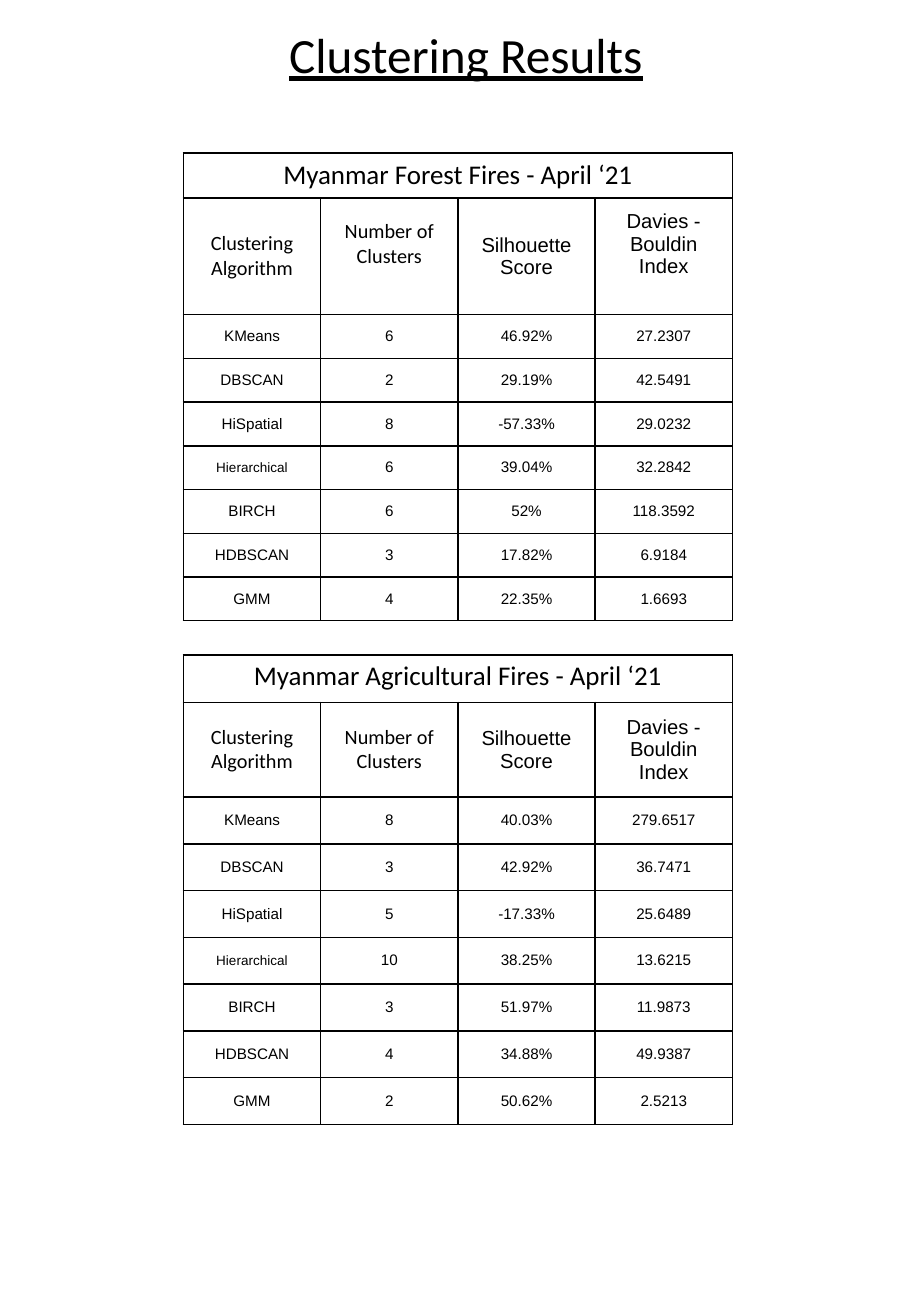
"""Build the Clustering Results slide with two tables of scores."""
from lxml.etree import SubElement
from pptx import Presentation
from pptx.dml.color import RGBColor
from pptx.enum.text import MSO_ANCHOR, MSO_AUTO_SIZE, PP_ALIGN
from pptx.oxml.ns import qn
from pptx.util import Inches, Pt

BLACK = RGBColor(0, 0, 0)
HEADERS = ["Clustering Algorithm", "Number of Clusters", "Silhouette Score", "Davies - Bouldin Index"]
ALGORITHMS = ["KMeans", "DBSCAN", "HiSpatial", "Hierarchical", "BIRCH", "HDBSCAN", "GMM"]
FOREST_SCORES = [
    ("6", "46.92%", "27.2307"),
    ("2", "29.19%", "42.5491"),
    ("8", "-57.33%", "29.0232"),
    ("6", "39.04%", "32.2842"),
    ("6", "52%", "118.3592"),
    ("3", "17.82%", "6.9184"),
    ("4", "22.35%", "1.6693"),
]
FARM_SCORES = [
    ("8", "40.03%", "279.6517"),
    ("3", "42.92%", "36.7471"),
    ("5", "-17.33%", "25.6489"),
    ("10", "38.25%", "13.6215"),
    ("3", "51.97%", "11.9873"),
    ("4", "34.88%", "49.9387"),
    ("2", "50.62%", "2.5213"),
]
TABLES = [
    ("Myanmar Forest Fires - April ‘21", FOREST_SCORES, 1.26, 0.37, 0.96, 0.36, MSO_ANCHOR.MIDDLE, 0.25),
    ("Myanmar Agricultural Fires - April ‘21", FARM_SCORES, 5.39, 0.39, 0.78, 0.385, MSO_ANCHOR.TOP, 0.05),
]


def style_text(paragraph, font_name, size):
    paragraph.alignment = PP_ALIGN.CENTER
    for span in paragraph.runs:
        span.font.name = font_name
        span.font.size = Pt(size)
        span.font.color.rgb = BLACK


def style_cell(cell, side_margin, end_margin):
    cell.margin_left = cell.margin_right = Inches(side_margin)
    cell.margin_top = cell.margin_bottom = Inches(end_margin)
    cell.vertical_anchor = MSO_ANCHOR.MIDDLE
    properties = cell._tc.get_or_add_tcPr()
    for side in ("a:lnL", "a:lnR", "a:lnT", "a:lnB"):
        border = SubElement(properties, qn(side), w=str(Pt(1)))
        SubElement(SubElement(border, qn("a:solidFill")), qn("a:srgbClr"), val=str(BLACK))
    cell.fill.background()


deck = Presentation()
deck.slide_width = Inches(7.5)
deck.slide_height = Inches(10.83)
page = deck.slides.add_slide(deck.slide_layouts[5])

title = page.shapes.title
title.left, title.top, title.width, title.height = Inches(2.28), Inches(0.16), Inches(3.11), Inches(0.57)
frame = title.text_frame
frame.text = "Clustering Results"
frame.word_wrap = True
frame.auto_size = MSO_AUTO_SIZE.NONE
frame.vertical_anchor = MSO_ANCHOR.TOP
frame.margin_left = frame.margin_right = Inches(0.08)
frame.margin_top = frame.margin_bottom = Inches(0.04)
style_text(frame.paragraphs[0], "Calibri", 29.2)
frame.paragraphs[0].runs[0].font.underline = True

for caption, scores, top, caption_height, header_height, row_height, caption_anchor, header_bottom in TABLES:
    rows = [[caption, "", "", ""], HEADERS]
    rows += [[algorithm, *values] for algorithm, values in zip(ALGORITHMS, scores)]
    heights = [caption_height, header_height] + [row_height] * len(scores)
    holder = page.shapes.add_table(len(rows), len(HEADERS), Inches(1.51), Inches(top),
                                   Inches(4.52), Inches(sum(heights)))
    table = holder.table
    table.first_row = table.horz_banding = False
    for column in table.columns:
        column.width = Inches(1.13)
    for row_index, (values, height) in enumerate(zip(rows, heights)):
        table.rows[row_index].height = Inches(height)
        for column_index, value in enumerate(values):
            cell = table.cell(row_index, column_index)
            cell.text_frame.text = value
            font_name, size, margins = "Arial", 9, (0.06, 0.06)
            if row_index == 0:
                font_name, size, margins = "Calibri", 16, (0.08, 0.04)
            elif row_index == 1:
                font_name = "Calibri" if column_index < 2 else "Arial"
                size, margins = 12, (0.1, 0.05)
            elif value == "Hierarchical":
                size = 8
            style_cell(cell, *margins)
            style_text(cell.text_frame.paragraphs[0], font_name, size)
    table.cell(0, 0).merge(table.cell(0, 3))
    table.cell(0, 0).vertical_anchor = caption_anchor
    for column_index in (1, 3):
        table.cell(1, column_index).margin_bottom = Inches(header_bottom)

deck.save("out.pptx")
